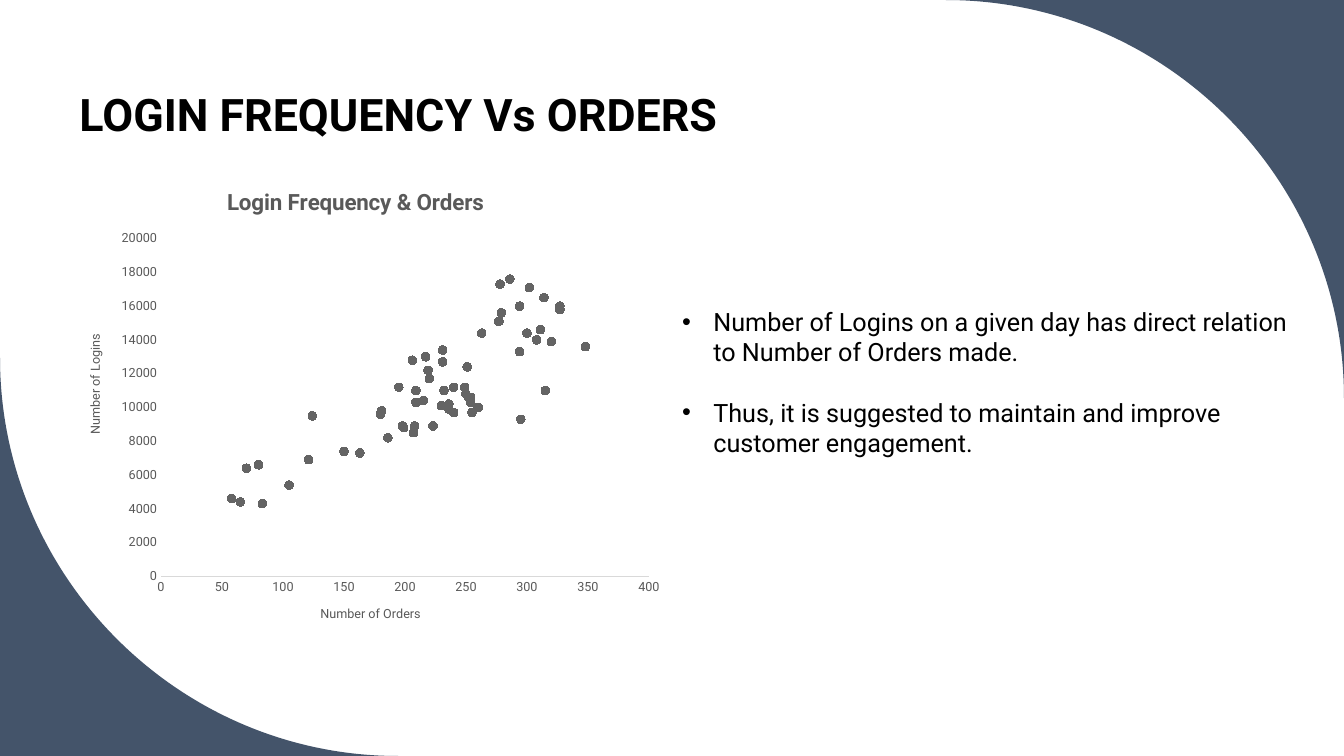
from lxml import etree
from pptx import Presentation
from pptx.chart.data import XyChartData
from pptx.dml.color import RGBColor
from pptx.enum.chart import XL_CHART_TYPE, XL_MARKER_STYLE, XL_TICK_MARK
from pptx.enum.text import MSO_ANCHOR
from pptx.oxml.ns import qn
from pptx.util import Pt

SCATTER = XL_CHART_TYPE.XY_SCATTER
CIRCLE = XL_MARKER_STYLE.CIRCLE
NO_TICK = XL_TICK_MARK.NONE
BOTTOM, TOP = MSO_ANCHOR.BOTTOM, MSO_ANCHOR.TOP

SLATE = RGBColor(0x44, 0x54, 0x6A)
BLACK = RGBColor(0, 0, 0)
LABEL_GRAY = RGBColor(0x59, 0x59, 0x59)
AXIS_GRAY = RGBColor(0xD9, 0xD9, 0xD9)
DOT_GRAY = RGBColor(0x64, 0x64, 0x64)
FONT = "Roboto"

# Content
HEADLINE = "LOGIN FREQUENCY Vs ORDERS"
FINDINGS = [
    "Number of Logins on a given day has direct relation to Number of Orders made.",
    "Thus, it is suggested to maintain and improve customer engagement.",
]
CHART_TITLE = "Login Frequency & Orders"
ORDERS = [
    150, 186, 163, 83, 295, 249, 250, 232, 236, 230, 105, 315, 215, 209, 254,
    180, 198, 58, 260, 255, 254, 208, 223, 207, 65, 199, 236, 240, 209, 252,
    181, 240, 121, 348, 308, 220, 278, 263, 206, 70, 294, 311, 286, 277, 314,
    320, 124, 327, 294, 302, 279, 327, 231, 80, 300, 195, 231, 251, 217, 219,
]
LOGINS = [
    7400, 8200, 7300, 4300, 9300, 11200, 10800, 11000, 10200, 10100, 5400, 11000,
    10400, 10300, 10600, 9600, 8900, 4600, 10000, 9700, 10300, 8900, 8900, 8500,
    4400, 8800, 9900, 9700, 11000, 10600, 9800, 11200, 6900, 13600, 14000, 11700,
    17300, 14400, 12800, 6400, 13300, 14600, 17600, 15100, 16500, 13900, 9500,
    15800, 16000, 17100, 15600, 16000, 13400, 6600, 14400, 11200, 12700, 12400,
    13000, 12200,
]

# Geometry in points; layouts are shares of the chart area
WIDTH, HEIGHT = 960, 540
CORNER_RADIUS = 284.4
ARC_PULL = 0.55  # share of the radius for the handles of a quarter circle
HEADLINE_BOX = (49.7, 0, 769.7, 104.4)
FINDINGS_BOX = (480.2, 215.3, 463, 116.6)
CHART_BOX = (49.7, 120.2, 429.8, 339.8)
BULLET_INDENT = 22.3
PLOT_LAYOUT = {"x": 0.152, "y": 0.148, "w": 0.811, "h": 0.71}
TITLE_LAYOUT = {"x": 0.255, "y": 0.033}
X_TITLE_LAYOUT = {"x": 0.413, "y": 0.914}
Y_TITLE_LAYOUT = {"x": 0.025, "y": 0.344}

HEADLINE_FONT = {"name": FONT, "size": Pt(32), "bold": True}
FINDING_FONT = {"name": FONT, "size": Pt(18), "bold": False}
CHART_TITLE_FONT = {"name": FONT, "size": Pt(16), "bold": True}
AXIS_FONT = {"name": FONT, "size": Pt(9), "bold": False}


def set_font(font, formats, color):
    for name, value in formats.items():
        setattr(font, name, value)
    font.color.rgb = color


def add_corner(slide, corner_x, corner_y):
    """Fill the area between a slide corner and the quarter circle facing it."""
    toward_x = 1 if corner_x == 0 else -1
    toward_y = 1 if corner_y == 0 else -1
    arc_ends = [(Pt(corner_x + toward_x * CORNER_RADIUS), Pt(corner_y)),
                (Pt(corner_x), Pt(corner_y + toward_y * CORNER_RADIUS))]
    builder = slide.shapes.build_freeform(Pt(corner_x), Pt(corner_y))
    builder.add_line_segments(arc_ends, close=True)
    corner = builder.convert_to_shape()
    corner.shadow.inherit = False
    corner.fill.solid()
    corner.fill.fore_color.rgb = SLATE
    corner.line.fill.background()

    # Bend the straight side into an arc
    tip, start, end = corner._element.iter(qn("a:pt"))
    curve = etree.Element(qn("a:cubicBezTo"))
    for arc_end in (start, end):
        handle = etree.SubElement(curve, qn("a:pt"))
        for axis in ("x", "y"):
            near, far = int(arc_end.get(axis)), int(tip.get(axis))
            handle.set(axis, str(round(near + (far - near) * ARC_PULL)))
    side = end.getparent()
    side.getparent().replace(side, curve)
    curve.append(end)


def add_text(slide, box, lines, formats, anchor):
    frame = slide.shapes.add_textbox(*map(Pt, box)).text_frame
    frame.word_wrap = True
    frame.vertical_anchor = anchor
    frame.text = "\n".join(lines)
    for paragraph in frame.paragraphs:
        set_font(paragraph.runs[0].font, formats, BLACK)
    return frame.paragraphs


def add_bullet(paragraph):
    properties = paragraph._p.get_or_add_pPr()
    properties.set("marL", str(Pt(BULLET_INDENT)))
    properties.set("indent", str(-Pt(BULLET_INDENT)))
    etree.SubElement(properties, qn("a:buFont")).set("typeface", "Arial")
    etree.SubElement(properties, qn("a:buChar")).set("char", "•")


def place(element, shares, inner=False):
    layout = element.find(qn("c:layout"))
    if layout is None:
        layout = etree.Element(qn("c:layout"))
        element.insert(0, layout)
    manual = etree.SubElement(layout, qn("c:manualLayout"))
    if inner:
        etree.SubElement(manual, qn("c:layoutTarget")).set("val", "inner")
    for side in ("x", "y"):
        etree.SubElement(manual, qn(f"c:{side}Mode")).set("val", "edge")
    for side, share in shares.items():
        etree.SubElement(manual, qn(f"c:{side}")).set("val", str(share))


def write_title(title, text, formats, layout):
    title.text_frame.text = text
    set_font(title.text_frame.paragraphs[0].runs[0].font, formats, LABEL_GRAY)
    place(title._element, layout)


prs = Presentation()
prs.slide_width, prs.slide_height = Pt(WIDTH), Pt(HEIGHT)
slide = prs.slides.add_slide(prs.slide_layouts[6])

# Curved corners
add_corner(slide, WIDTH, 0)
add_corner(slide, 0, HEIGHT)

# Headline and findings
headline, = add_text(slide, HEADLINE_BOX, [HEADLINE], HEADLINE_FONT, BOTTOM)
headline.line_spacing = 0.9
findings = add_text(slide, FINDINGS_BOX, FINDINGS, FINDING_FONT, TOP)
for finding in findings:
    add_bullet(finding)
for finding in findings[1:]:
    finding.space_before = Pt(21.5)

# Scatter chart
data = XyChartData()
days = data.add_series("Series 1")
for orders, logins in zip(ORDERS, LOGINS):
    days.add_data_point(orders, logins)
chart = slide.shapes.add_chart(SCATTER, *map(Pt, CHART_BOX), data).chart
set_font(chart.font, {"name": FONT, "size": Pt(10)}, BLACK)
chart.has_legend = False
write_title(chart.chart_title, CHART_TITLE, CHART_TITLE_FONT, TITLE_LAYOUT)
place(chart._chartSpace.chart.plotArea, PLOT_LAYOUT, inner=True)

plot = chart.plots[0]
plot.vary_by_categories = False
dots = plot.series[0]
dots.smooth = False
dots.format.line.fill.background()
dots.marker.style = CIRCLE
dots.marker.size = 6
dots.marker.format.fill.solid()
dots.marker.format.fill.fore_color.rgb = DOT_GRAY
dots.marker.format.line.color.rgb = DOT_GRAY

# Axes
AXES = [
    (chart.category_axis, "Number of Orders", X_TITLE_LAYOUT, 400, 50),
    (chart.value_axis, "Number of Logins", Y_TITLE_LAYOUT, 20000, 2000),
]
for axis, text, layout, maximum, step in AXES:
    formats = {"minimum_scale": 0, "maximum_scale": maximum, "major_unit": step,
               "has_major_gridlines": False, "major_tick_mark": NO_TICK,
               "minor_tick_mark": NO_TICK}
    for name, value in formats.items():
        setattr(axis, name, value)
    set_font(axis.tick_labels.font, AXIS_FONT, LABEL_GRAY)
    write_title(axis.axis_title, text, AXIS_FONT, layout)
chart.category_axis.format.line.color.rgb = AXIS_GRAY
chart.category_axis.format.line.width = Pt(1)
chart.value_axis.format.line.fill.background()

prs.save("out.pptx")
